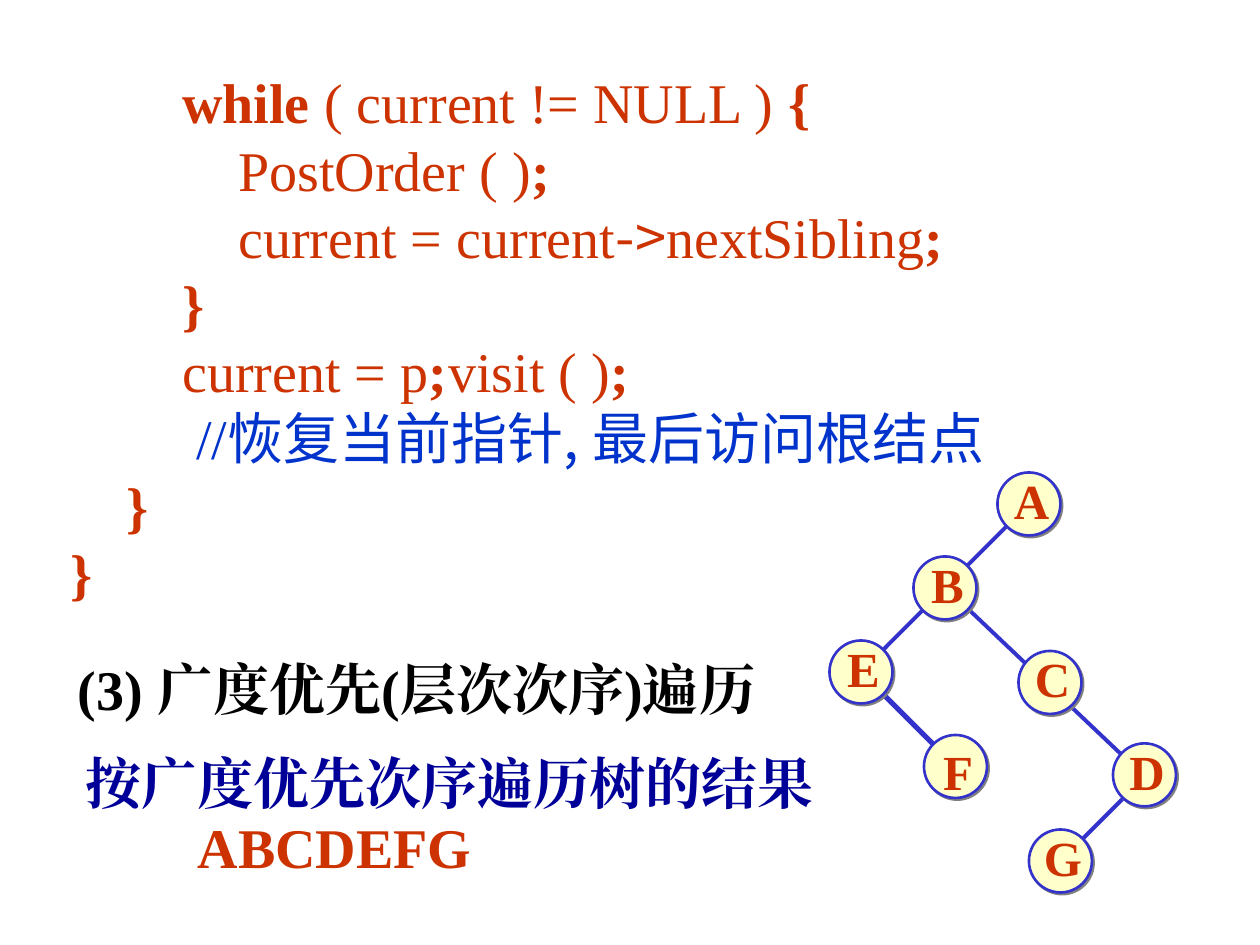
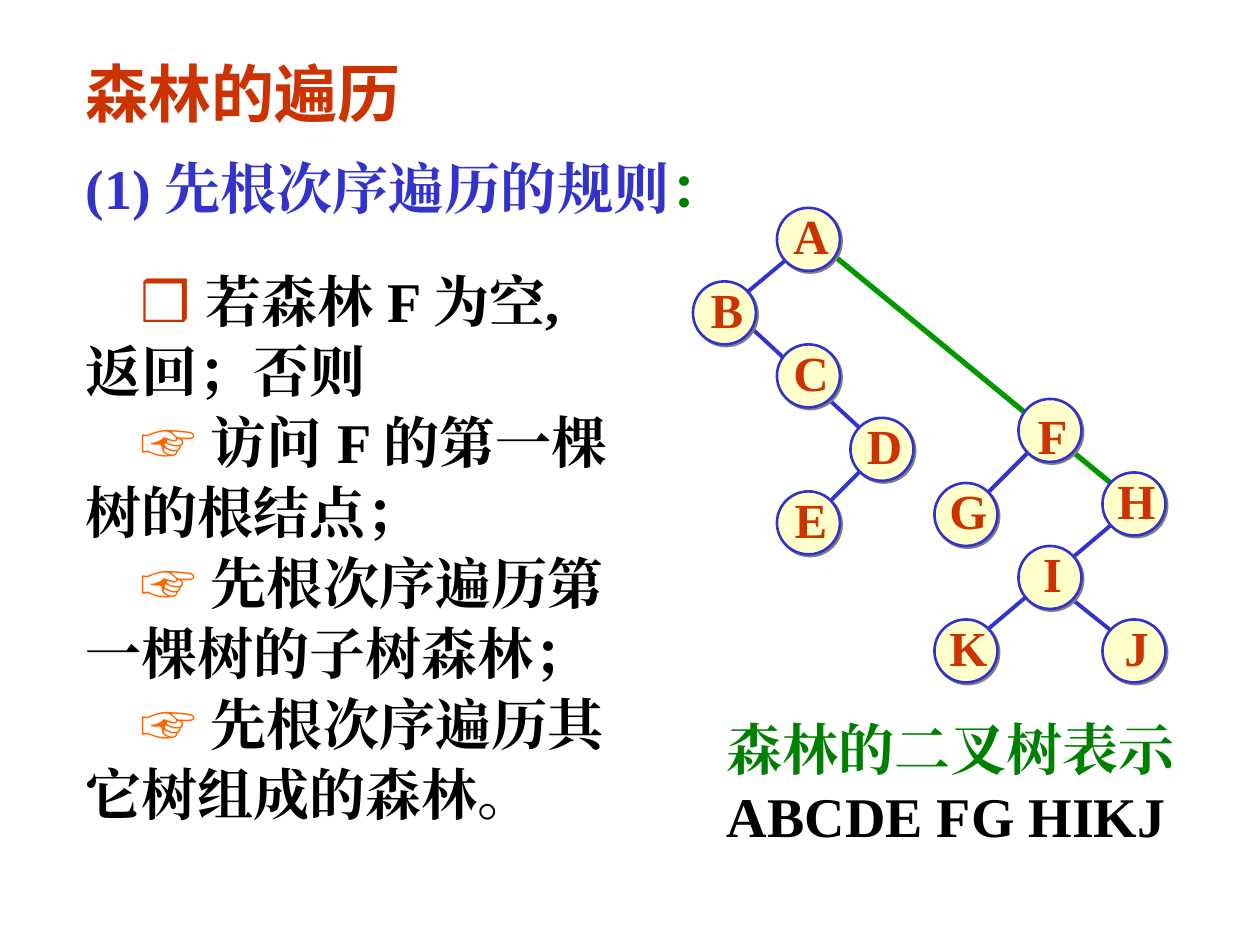
from lxml.etree import SubElement
from pptx import Presentation
from pptx.dml.color import RGBColor
from pptx.enum.shapes import MSO_CONNECTOR as Connector, MSO_SHAPE as Shape
from pptx.enum.text import MSO_ANCHOR as Anchor, PP_ALIGN as Align
from pptx.oxml.ns import qn
from pptx.util import Inches, Pt

# Shared look
RED = RGBColor(0xCC, 0x33, 0x00)
BLUE = RGBColor(0x33, 0x33, 0xCC)
COMMENT_BLUE = RGBColor(0x00, 0x33, 0xCC)
NAVY = RGBColor(0x00, 0x00, 0x99)
GREEN = RGBColor(0x00, 0x80, 0x00)
LINK_GREEN = RGBColor(0x00, 0x99, 0x00)
ORANGE = RGBColor(0xFF, 0x66, 0x00)
BLACK = RGBColor(0, 0, 0)
CREAM = RGBColor(0xFF, 0xFF, 0xCC)
SERIF, SANS, CJK = "Times New Roman", "Arial", "Noto Sans CJK SC"
BODY = 32
LEADING = 1.2
TEXT_LEFT = 0.58

deck = Presentation()
deck.slide_width, deck.slide_height = Inches(10), Inches(7.5)
CELL = deck.slide_width / 120  # the trees sit on a grid of 120 columns by 90 rows
NODE_CELLS = 6


def add_text(page, area, paragraphs, size=BODY, spacing=1.0, wrap=True, middle=False):
    """Each paragraph is (runs, options); each run is (text, colour, bold, font)."""
    box = page.shapes.add_textbox(*[Inches(length) for length in area])
    frame = box.text_frame
    frame.word_wrap = wrap
    if middle:
        frame.vertical_anchor = Anchor.MIDDLE
    for number, (runs, options) in enumerate(paragraphs):
        para = frame.add_paragraph() if number else frame.paragraphs[0]
        para.line_spacing = Pt(size * LEADING * options.get("spacing", spacing))
        if middle:
            para.alignment = Align.CENTER
        if "before" in options:
            para.space_before = Pt(options["before"])
        props = para._p.get_or_add_pPr()
        props.set("marL", str(Inches(options.get("indent", 0))))
        props.set("indent", "0")
        if "tab" in options:
            stops = SubElement(props, qn("a:tabLst"))
            SubElement(stops, qn("a:tab"), pos=str(Inches(options["tab"])), algn="l")
        for text, colour, bold, font in runs:
            span = para.add_run()
            span.text = text
            span.font.name, span.font.size = font, Pt(size)
            span.font.bold = bold
            span.font.color.rgb = colour
            span_props = span._r.get_or_add_rPr()
            span_props.set("lang", "zh-CN")
            SubElement(span_props, qn("a:ea"), typeface=font)


def add_tree(page, branches, nodes):
    """Branches are (x1, y1, x2, y2, colour, width); nodes give left and top cells."""
    for *ends, colour, width in branches:
        branch = page.shapes.add_connector(
            Connector.STRAIGHT, *[round(end * CELL) for end in ends])
        branch.line.color.rgb, branch.line.width = colour, Pt(width)
        SubElement(branch._element.spPr, qn("a:effectLst"))
    for letter, (column, row) in nodes.items():
        diameter = round(NODE_CELLS * CELL)
        node = page.shapes.add_shape(
            Shape.OVAL, round(column * CELL), round(row * CELL), diameter, diameter)
        node.fill.solid()
        node.fill.fore_color.rgb = CREAM
        node.line.color.rgb, node.line.width = BLUE, Pt(1.5)
        effects = SubElement(node._element.spPr, qn("a:effectLst"))
        shadow = SubElement(effects, qn("a:outerShdw"), dist=str(Pt(1.4)),
                            dir="2700000", algn="ctr", rotWithShape="0")
        SubElement(shadow, qn("a:srgbClr"), val="808080")
        # The letter sits slightly above its circle, except F
        lift = 0 if letter == "F" else 0.07
        area = (column / 12 + 0.02, row / 12 - lift, 0.5, 0.57)
        add_text(page, area, [([(letter, RED, True, SERIF)], {})],
                 size=28, wrap=False, middle=True)


# Slide 1: code that ends the traversal
page = deck.slides.add_slide(deck.slide_layouts[6])
code_lines = [
    [("        while", True), (" ( current != NULL ) ", False), ("{", True)],
    [("            PostOrder ( )", False), (";", True)],
    [("            current = current", False), ("->", False, CJK),
     ("nextSibling", False), (";", True)],
    [("        }", True)],
    [("        current = p", False), (";", True), ("\tvisit ( )", False), (";", True)],
    [("//", False), ("恢复当前指针, 最后访问根结点", False, CJK)],
    [("    }", True)],
    [("}", True)],
]
code = []
for line in code_lines:
    is_comment = line[0][0] == "//"
    colour = COMMENT_BLUE if is_comment else RED
    runs = [(text, colour, bold, font[0] if font else SERIF) for text, bold, *font in line]
    options = {"indent": 1} if is_comment else {}
    if any("\t" in text for text, *rest in line):
        options["tab"] = 3.43
    code.append((runs, options))
add_text(page, (0.46, 0.49, 9.21, 4.37), code)

# Breadth-first heading and result
add_text(page, (0.25, 5.17, 6.11, 0.61),
         [([("(3) 广度优先(层次次序)遍历", BLACK, True, SERIF)], {})],
         spacing=0.95, wrap=False, middle=True)
add_text(page, (TEXT_LEFT, 5.92, 9.08, 1.12), [
    ([("按广度优先次序遍历树的结果", NAVY, True, SERIF)], {}),
    ([("ABCDEFG", RED, True, SERIF)], {"indent": 0.89}),
], spacing=0.95)

# Binary tree of the tree
add_tree(page, [
    (108, 75, 102, 81, BLUE, 2.25),
    (83, 65, 89, 71, BLUE, 3),
    (97, 49, 83, 63, BLUE, 2.25),
    (92, 57.8, 108, 73, BLUE, 2.25),
], {"A": (95, 45), "B": (87, 53), "D": (106, 70.8), "C": (97, 62),
    "E": (79, 61), "G": (98, 79), "F": (88, 70)})

# Slide 2: forest traversal
page = deck.slides.add_slide(deck.slide_layouts[6])
add_text(page, (TEXT_LEFT, 0.38, 2.75, 0.7),
         [([("森林的遍历", RED, True, SANS)], {})], size=36)
add_text(page, (5.67, 5.62, 3.79, 1.17), [
    ([("森林的二叉树表示", GREEN, True, SERIF)], {}),
    ([("ABCDE FG HIKJ", BLACK, True, SERIF)], {}),
])

# Rules: a marked first line, then its continuation
rules = [([("(1) 先根次序遍历的规则", BLUE, True, SERIF),
           ("：", GREEN, True, SERIF)], {})]
for mark, colour, first, second in [
    ("❒", RED, "若森林 F 为空,", "返回；否则"),
    ("☞", ORANGE, "访问 F 的第一棵", "树的根结点；"),
    ("☞", ORANGE, "先根次序遍历第", "一棵树的子树森林；"),
    ("☞", ORANGE, "先根次序遍历其", "它树组成的森林。"),
]:
    options = {"indent": 0.44, "spacing": 1.05}
    if len(rules) == 1:
        options["before"] = 24
    rules.append(([(mark, colour, True, SANS), (" " + first, BLACK, True, SERIF)], options))
    rules.append(([(second, BLACK, True, SERIF)], {"spacing": 1.05}))
add_text(page, (TEXT_LEFT, 1.17, 4.92, 6.1), rules)

# Binary tree of the forest; green branches join the roots
add_tree(page, [
    (79, 24, 107, 47, LINK_GREEN, 3),
    (83, 43.8, 78, 48.8, BLUE, 2.25),
    (70, 29.8, 83, 41.8, BLUE, 2.25),
    (76, 23.8, 70, 28.8, BLUE, 2.25),
    (102, 57, 107, 61, BLUE, 2.25),
    (107, 49, 94, 60, BLUE, 2.25),
    (99, 42, 93, 48, BLUE, 2.25),
], {"A": (74, 19.8), "B": (66, 26.8), "D": (81, 39.8), "C": (74, 32.8),
    "E": (74, 46.8), "H": (105, 45), "I": (97, 52), "K": (89, 59),
    "J": (105, 59), "F": (97, 38), "G": (89, 46)})

deck.save("out.pptx")
